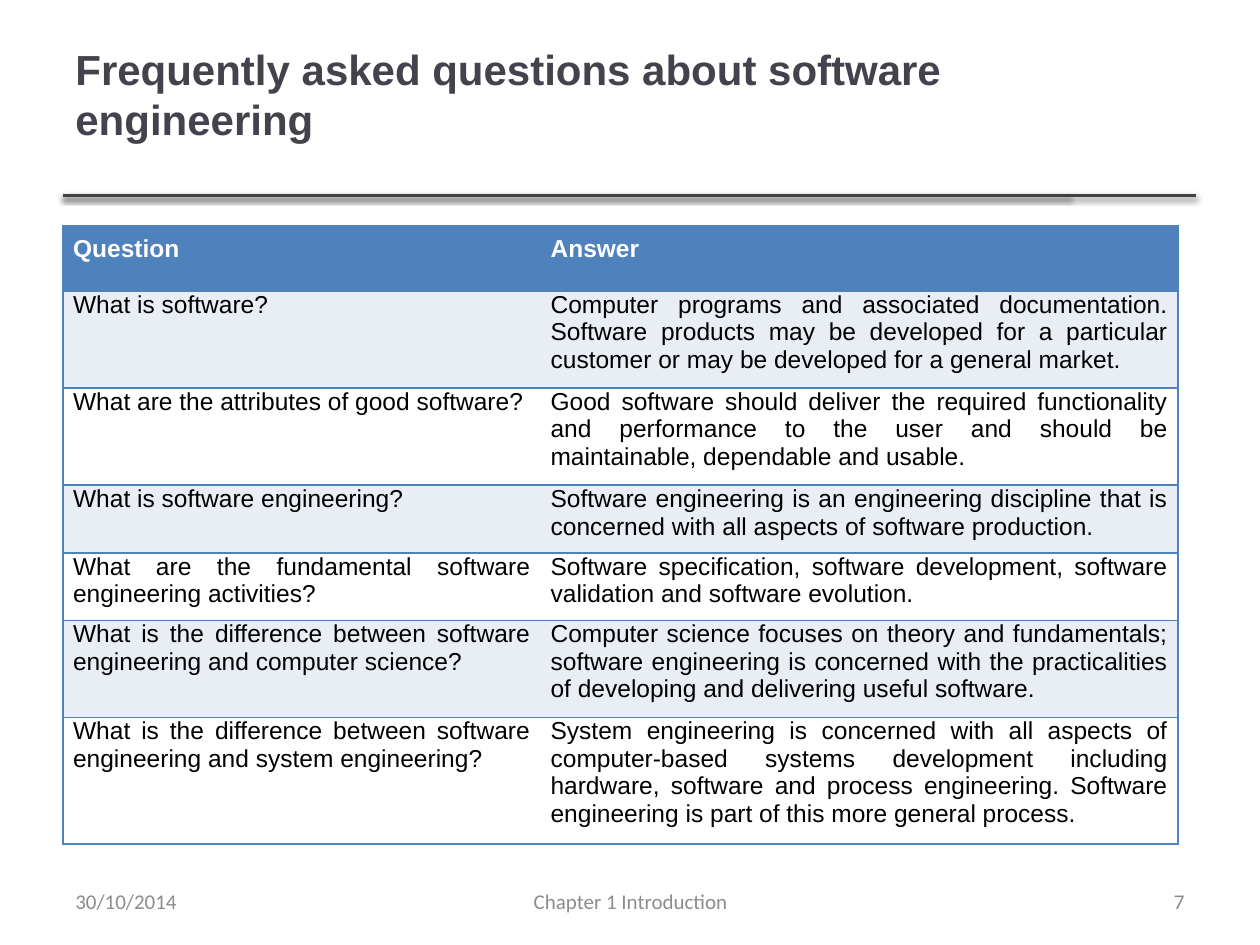
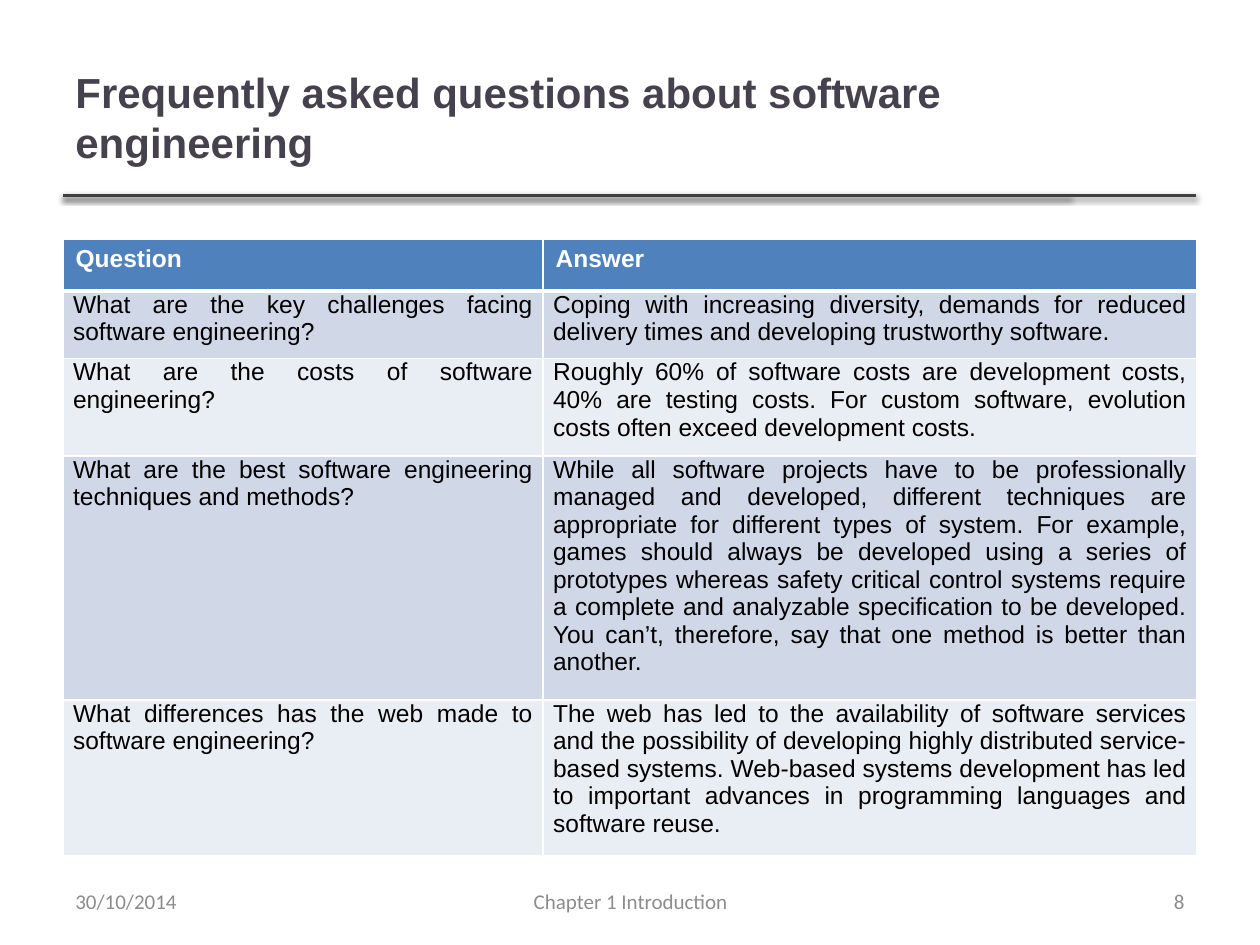
from lxml import etree
from pptx import Presentation
from pptx import util as u
from pptx.dml.color import RGBColor
from pptx.enum import shapes, text
from pptx.oxml import parse_xml
from pptx.oxml.ns import nsdecls, qn

BLUE = RGBColor(0x4F, 0x81, 0xBD)
BAND = RGBColor(0xD0, 0xD8, 0xE8)
PALE_BAND = RGBColor(0xE9, 0xED, 0xF4)
WHITE = RGBColor(0xFF, 0xFF, 0xFF)
BLACK = RGBColor(0, 0, 0)
RULE_GREY = RGBColor(0x40, 0x40, 0x40)
TITLE_GREY = RGBColor(0x46, 0x42, 0x4D)
FOOTER_GREY = RGBColor(0x8C, 0x8C, 0x8C)

LEFT, CENTER, RIGHT, JUSTIFY = (
    text.PP_ALIGN.LEFT, text.PP_ALIGN.CENTER, text.PP_ALIGN.RIGHT, text.PP_ALIGN.JUSTIFY)

TITLE_FONT = {"name": "Arial", "size": u.Pt(24), "bold": True}
HEADER_FONT = {"name": "Arial", "size": u.Pt(14), "bold": True}
BODY_FONT = {"name": "Arial", "size": u.Pt(14), "bold": False}
FOOTER_FONT = {"name": "Calibri", "size": u.Pt(12), "bold": False}

# Cell margins: left, top, right, bottom
BODY_MARGINS = (0.08, 0, 0.08, 0.07)

RULE_SHADOW = (
    f'<a:effectLst {nsdecls("a")}>'
    '<a:outerShdw blurRad="40000" dist="20000" dir="5400000" rotWithShape="0">'
    '<a:srgbClr val="000000"><a:alpha val="38000"/></a:srgbClr>'
    '</a:outerShdw></a:effectLst>')

SLIDES = [
    {
        "number": "7",
        "title_size": (8.41, 1.29),
        "title_bottom_margin": 0.45,
        "table_top": 1.79,
        "columns": (3.79, 5.06),
        "heights": (0.52, 0.73, 0.73, 0.52, 0.52, 0.73, 0.95),
        "header_margins": (0.08, 0.08, 0.08, 0.08),
        "header_align": JUSTIFY,
        "bands": (PALE_BAND, WHITE),
        "border": BLUE,
        "inner_border": False,
        "header_line": 1,
        "rows": [
            ("What is software?",
             "Computer programs and associated documentation. Software products may be "
             "developed for a particular customer or may be developed for a general market."),
            ("What are the attributes of good software?",
             "Good software should deliver the required functionality and performance to "
             "the user and should be maintainable, dependable and usable."),
            ("What is software engineering?",
             "Software engineering is an engineering discipline that is concerned with all "
             "aspects of software production."),
            ("What are the fundamental software engineering activities?",
             "Software specification, software development, software validation and "
             "software evolution."),
            ("What is the difference between software engineering and computer science?",
             "Computer science focuses on theory and fundamentals; software engineering is "
             "concerned with the practicalities of developing and delivering useful software."),
            ("What is the difference between software engineering and system engineering?",
             "System engineering is concerned with all aspects of computer-based systems "
             "development including hardware, software and process engineering. Software "
             "engineering is part of this more general process."),
        ],
    },
    {
        "number": "8",
        "title_size": (7.98, 1.25),
        "title_bottom_margin": 0.05,
        "table_top": 1.9,
        "columns": (3.81, 5.19),
        "heights": (0.41, 0.51, 0.73, 1.82, 1.17),
        "header_margins": (0.1, 0.05, 0.1, 0.05),
        "header_align": LEFT,
        "bands": (BAND, PALE_BAND),
        "border": WHITE,
        "inner_border": True,
        "header_line": 3,
        "rows": [
            ("What are the key challenges facing software engineering?",
             "Coping with increasing diversity, demands for reduced delivery times and "
             "developing trustworthy software."),
            ("What are the costs of software engineering?",
             "Roughly 60% of software costs are development costs, 40% are testing costs. "
             "For custom software, evolution costs often exceed development costs."),
            ("What are the best software engineering techniques and methods?",
             "While all software projects have to be professionally managed and developed, "
             "different techniques are appropriate for different types of system. For "
             "example, games should always be developed using a series of prototypes "
             "whereas safety critical control systems require a complete and analyzable "
             "specification to be developed. You can’t, therefore, say that one method is "
             "better than another."),
            ("What differences has the web made to software engineering?",
             "The web has led to the availability of software services and the possibility "
             "of developing highly distributed service-based systems. Web-based systems "
             "development has led to important advances in programming languages and "
             "software reuse."),
        ],
    },
]


def write_text(frame, wording, font_values, color, align):
    frame.word_wrap = True
    paragraph = frame.paragraphs[0]
    paragraph.alignment = align
    run = paragraph.add_run()
    run.text = wording
    for name, value in font_values.items():
        setattr(run.font, name, value)
    run.font.color.rgb = color


def set_borders(cell, color, widths):
    """Draw the left, right, top and bottom borders; width 0 means no line."""
    properties = cell._tc.get_or_add_tcPr()
    for index, (side, width) in enumerate(zip("LRTB", widths)):
        line = etree.Element(qn(f"a:ln{side}"), w=str(u.Pt(width)))
        if width:
            fill = etree.SubElement(line, qn("a:solidFill"))
            etree.SubElement(fill, qn("a:srgbClr"), val=str(color))
        else:
            etree.SubElement(line, qn("a:noFill"))
        properties.insert(index, line)


presentation = Presentation()
presentation.slide_width = u.Inches(10)
presentation.slide_height = u.Inches(7.5)

for content in SLIDES:
    slide = presentation.slides.add_slide(presentation.slide_layouts[6])

    # Two overlapping rules under the title
    for rule_end in (8.49, 9.49):
        rule = slide.shapes.add_connector(
            shapes.MSO_CONNECTOR.STRAIGHT,
            u.Inches(0.5), u.Inches(1.55), u.Inches(rule_end), u.Inches(1.55))
        rule.line.color.rgb = RULE_GREY
        rule.line.width = u.Pt(2)
        rule._element.spPr.append(parse_xml(RULE_SHADOW))

    # Title
    title_width, title_height = content["title_size"]
    title = slide.shapes.add_textbox(
        u.Inches(0.5), u.Inches(0.3), u.Inches(title_width), u.Inches(title_height))
    title.text_frame.vertical_anchor = text.MSO_ANCHOR.MIDDLE
    title.text_frame.margin_bottom = u.Inches(content["title_bottom_margin"])
    write_text(title.text_frame, "Frequently asked questions about software engineering",
               TITLE_FONT, TITLE_GREY, LEFT)

    # Question and answer table
    rows = [("Question", "Answer")] + content["rows"]
    table = slide.shapes.add_table(
        len(rows), 2, u.Inches(0.5), u.Inches(content["table_top"]),
        u.Inches(sum(content["columns"])), u.Inches(sum(content["heights"]))).table
    table.horz_banding = False
    for column, width in zip(table.columns, content["columns"]):
        column.width = u.Inches(width)

    for row_index, row in enumerate(rows):
        table.rows[row_index].height = u.Inches(content["heights"][row_index])
        is_header = row_index == 0
        if is_header:
            font, color, fill = HEADER_FONT, WHITE, BLUE
            align, margins = content["header_align"], content["header_margins"]
        else:
            font, color, fill = BODY_FONT, BLACK, content["bands"][(row_index - 1) % 2]
            align, margins = JUSTIFY, BODY_MARGINS
        top_line = content["header_line"] if row_index == 1 else 1
        bottom_line = content["header_line"] if is_header else 1

        for column_index, wording in enumerate(row):
            cell = table.cell(row_index, column_index)
            for side, margin in zip(("left", "top", "right", "bottom"), margins):
                setattr(cell, f"margin_{side}", u.Inches(margin))
            write_text(cell.text_frame, wording, font, color, align)
            cell.fill.solid()
            cell.fill.fore_color.rgb = fill
            left_line = int(content["inner_border"] or column_index == 0)
            right_line = int(content["inner_border"] or column_index == 1)
            set_borders(cell, content["border"],
                        (left_line, right_line, top_line, bottom_line))

    # Footer: chapter, date and slide number
    for left, width, wording, align in (
            (3.42, 3.17, "Chapter 1 Introduction", CENTER),
            (0.5, 2.33, "30/10/2014", LEFT),
            (7.17, 2.33, content["number"], RIGHT)):
        footer = slide.shapes.add_textbox(
            u.Inches(left), u.Inches(6.95), u.Inches(width), u.Inches(0.4))
        footer.text_frame.vertical_anchor = text.MSO_ANCHOR.MIDDLE
        write_text(footer.text_frame, wording, FOOTER_FONT, FOOTER_GREY, align)

presentation.save("out.pptx")
